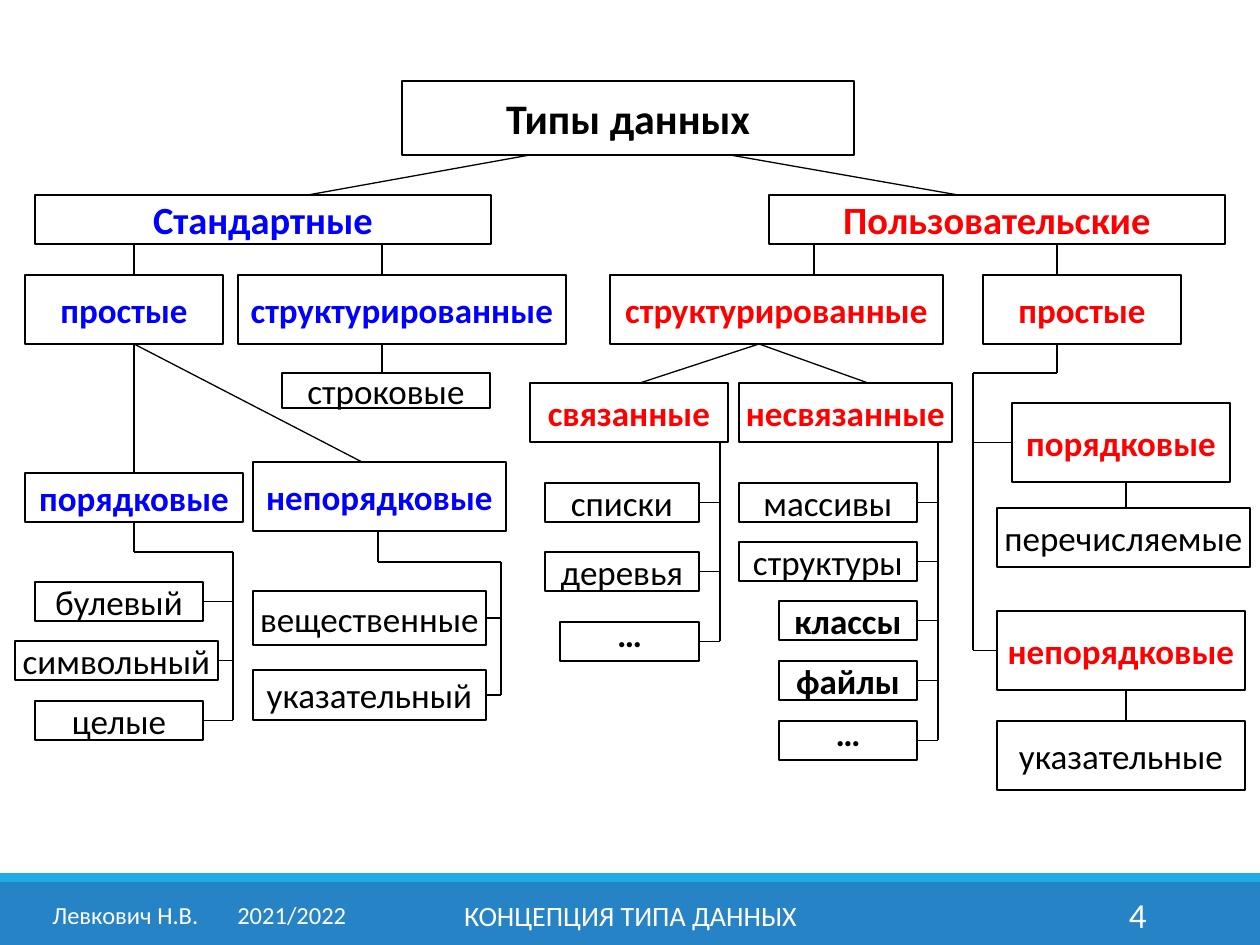
from itertools import pairwise

from lxml.etree import SubElement
from pptx import Presentation
from pptx.dml.color import RGBColor
from pptx.enum.shapes import MSO_CONNECTOR as Link, MSO_SHAPE as Kind
from pptx.enum.text import MSO_ANCHOR as Anchor, MSO_AUTO_SIZE as Auto, PP_ALIGN as Align
from pptx.oxml.ns import qn
from pptx.util import Emu, Pt

COLORS = {"black": "000000", "white": "FFFFFF", "blue": "0000FF",
          "red": "FF0000", "band": "2683C6", "stripe": "1CADE4"}
FONT = "Calibri"
LEFT, RIGHT = 1, 3  # connection sites of a rectangle

TITLE = ("Типы данных", 402, 81, 452, 74)

# color, bold, size, then key: (text, left, top, width, height)
GROUPS = [
    ("blue", True, 22, {"std": ("Стандартные", 35, 195, 456, 49)}),
    ("red", True, 22, {"user": ("Пользовательские", 769, 195, 456, 49)}),
    ("blue", True, 20, {
        "std plain": ("простые", 25, 275, 198, 69),
        "std struct": ("структурированные", 238, 275, 328, 69),
        "std ord": ("порядковые", 25, 473, 218, 49),
        "std real": ("непорядковые", 253, 462, 253, 69),
    }),
    ("red", True, 20, {
        "user struct": ("структурированные", 610, 275, 333, 69),
        "user plain": ("простые", 983, 275, 198, 69),
        "linked": ("связанные", 530, 383, 198, 59),
        "loose": ("несвязанные", 739, 383, 213, 59),
        "user ord": ("порядковые", 1012, 403, 218, 79),
        "user real": ("непорядковые", 997, 611, 248, 79),
    }),
    ("black", False, 20, {
        "string": ("строковые", 282, 373, 208, 35),
        "bool": ("булевый", 35, 582, 168, 39),
        "char": ("символьный", 15, 641, 203, 39),
        "int": ("целые", 35, 701, 168, 39),
        "float": ("вещественные", 253, 591, 233, 54),
        "pointer": ("указательный", 253, 670, 233, 50),
        "list": ("списки", 545, 483, 154, 39),
        "tree": ("деревья", 545, 552, 154, 39),
        "array": ("массивы", 739, 483, 178, 39),
        "record": ("структуры", 739, 542, 178, 39),
        "enum": ("перечисляемые", 997, 508, 253, 59),
        "user pointer": ("указательные", 997, 721, 248, 69),
    }),
    ("black", True, 20, {
        "class": ("классы", 779, 601, 138, 39),
        "file": ("файлы", 779, 661, 138, 39),
        "more loose": ("…", 779, 721, 138, 39),
        "more linked": ("…", 560, 622, 139, 39),
    }),
]

PATHS = [
    [(530, 155), (308, 195)], [(730, 155), (958, 195)],
    [(134, 244), (134, 275)], [(382, 244), (382, 275)],
    [(814, 244), (814, 275)], [(1057, 244), (1057, 275)],
    [(134, 344), (134, 473)], [(134, 344), (362, 462)],
    [(382, 344), (382, 373)],
    [(640, 383), (759, 344), (868, 383)],
    [(1126, 482), (1126, 508)], [(1126, 690), (1126, 721)],
]

# path to the top of the trunk, children, side on which they join it
TRUNKS = [
    ([(134, 522), (134, 552), (233, 552)], ["bool", "char", "int"], RIGHT),
    ([(378, 531), (378, 562), (501, 562)], ["float", "pointer"], RIGHT),
    ([(720, 442)], ["list", "tree", "more linked"], RIGHT),
    ([(938, 442)], ["array", "record", "class", "file", "more loose"], RIGHT),
    ([(1057, 344), (1057, 373), (973, 373)], ["user ord", "user real"], LEFT),
]

BANDS = [("band", 0, 882, 1260, 63), ("stripe", 0, 873, 1260, 9)]

# text, size, alignment, left, top, width, height
FOOTER = [
    ("Левкович Н.В.\t2021/2022", 14, Align.LEFT, 40, 890, 329, 50),
    ("КОНЦЕПЦИЯ ТИПА ДАННЫХ", 16, Align.CENTER, 381, 890, 499, 50),
    ("4", 20, Align.RIGHT, 1023, 890, 136, 50),
]
TAB = 185


def px(n):
    return Emu(round(n * 914400 / 126))


def rgb(name):
    return RGBColor.from_string(COLORS[name])


def write(shape, text, size, color, bold=False, align=Align.CENTER):
    frame = shape.text_frame
    frame.auto_size = Auto.NONE
    frame.word_wrap = True
    frame.vertical_anchor = Anchor.MIDDLE
    frame.text = text
    para = frame.paragraphs[0]
    para.alignment = align
    if "\t" in text:
        tabs = SubElement(para._p.get_or_add_pPr(), qn("a:tabLst"))
        SubElement(tabs, qn("a:tab"), pos=str(px(TAB)), algn="l")
    for run in para.runs:
        font = run.font
        font.name, font.size, font.bold = FONT, Pt(size), bold
        font.color.rgb = rgb(color)


def frame_box(shape, text, size, color, bold):
    """Give a box its white fill, thin black outline and label."""
    shape.fill.solid()
    shape.fill.fore_color.rgb = rgb("white")
    shape.line.color.rgb = rgb("black")
    shape.line.width = Pt(0.75)
    write(shape, text, size, color, bold)
    frame = shape.text_frame
    frame.margin_left = frame.margin_right = px(5)
    frame.margin_top = frame.margin_bottom = px(6)
    if text == "…":
        frame.vertical_anchor = Anchor.BOTTOM


def add_rect(slide, *place):
    shape = slide.shapes.add_shape(Kind.RECTANGLE, *map(px, place))
    shape.shadow.inherit = False
    return shape


def add_line(slide, start, end):
    line = slide.shapes.add_connector(Link.STRAIGHT, *map(px, start + end))
    line.line.color.rgb = rgb("black")
    line.line.width = Pt(0.75)
    SubElement(line._element.spPr, qn("a:effectLst"))
    return line


def add_path(slide, points):
    for start, end in pairwise(points):
        add_line(slide, start, end)


def main():
    deck = Presentation()
    deck.slide_width, deck.slide_height = px(1260), px(945)
    slide = deck.slides.add_slide(deck.slide_layouts[5])

    for color, *place in BANDS:
        band = add_rect(slide, *place)
        band.fill.solid()
        band.fill.fore_color.rgb = rgb(color)
        band.line.fill.background()
    for text, size, align, *place in FOOTER:
        note = slide.shapes.add_textbox(*map(px, place))
        write(note, text, size, "white", align=align)

    title = slide.shapes.title
    text, *place = TITLE
    title.left, title.top, title.width, title.height = map(px, place)
    frame_box(title, text, 24, "black", True)

    boxes, mids = {}, {}
    for color, bold, size, items in GROUPS:
        for key, (text, *place) in items.items():
            boxes[key] = add_rect(slide, *place)
            frame_box(boxes[key], text, size, color, bold)
            mids[key] = place[1] + place[3] / 2

    for points in PATHS:
        add_path(slide, points)
    for points, kids, side in TRUNKS:
        x = points[-1][0]
        add_path(slide, points + [(x, mids[kids[-1]])])
        for kid in kids:
            stub = add_line(slide, (x, mids[kid]), (x, mids[kid]))
            stub.begin_connect(boxes[kid], side)

    deck.save("out.pptx")


if __name__ == "__main__":
    main()
